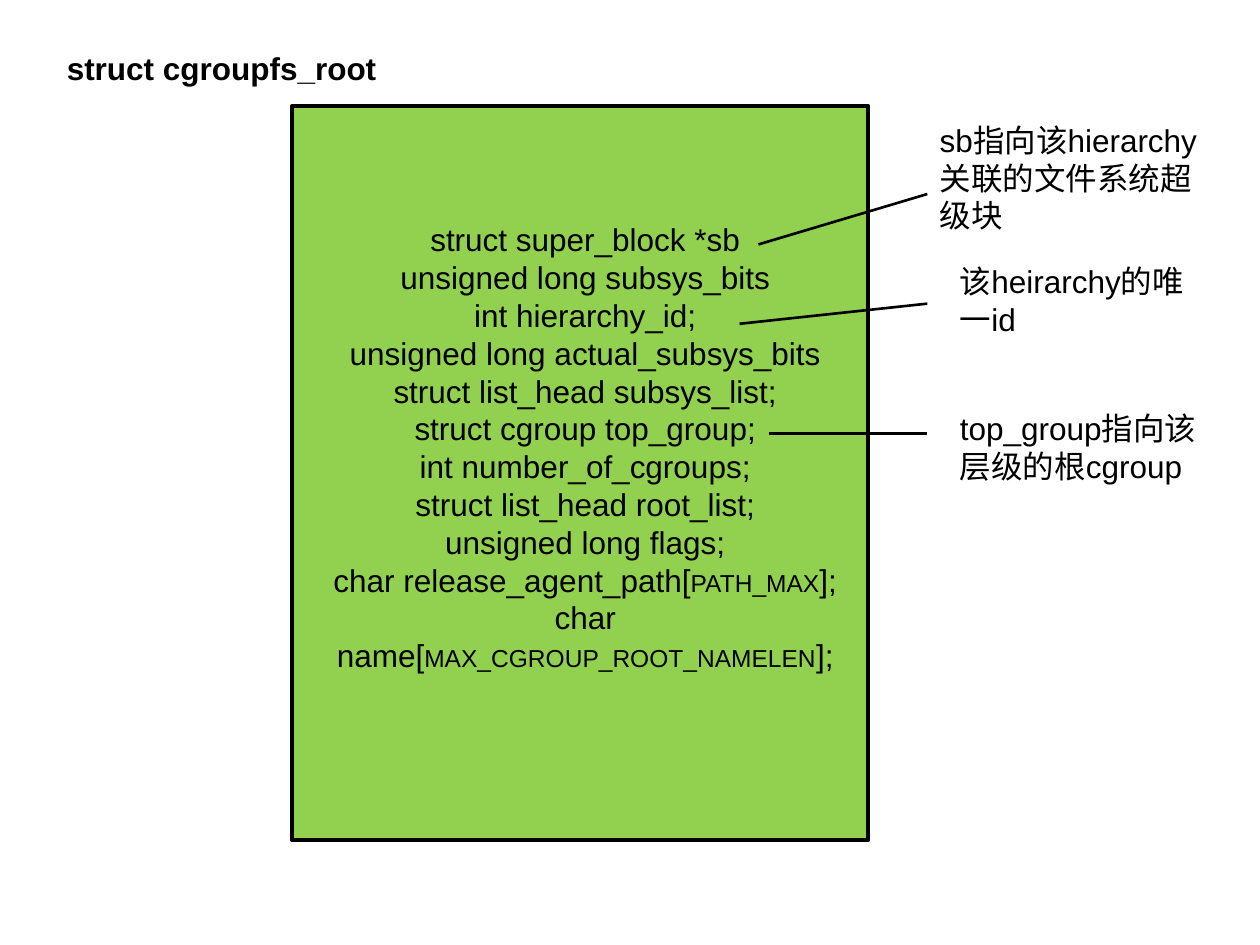
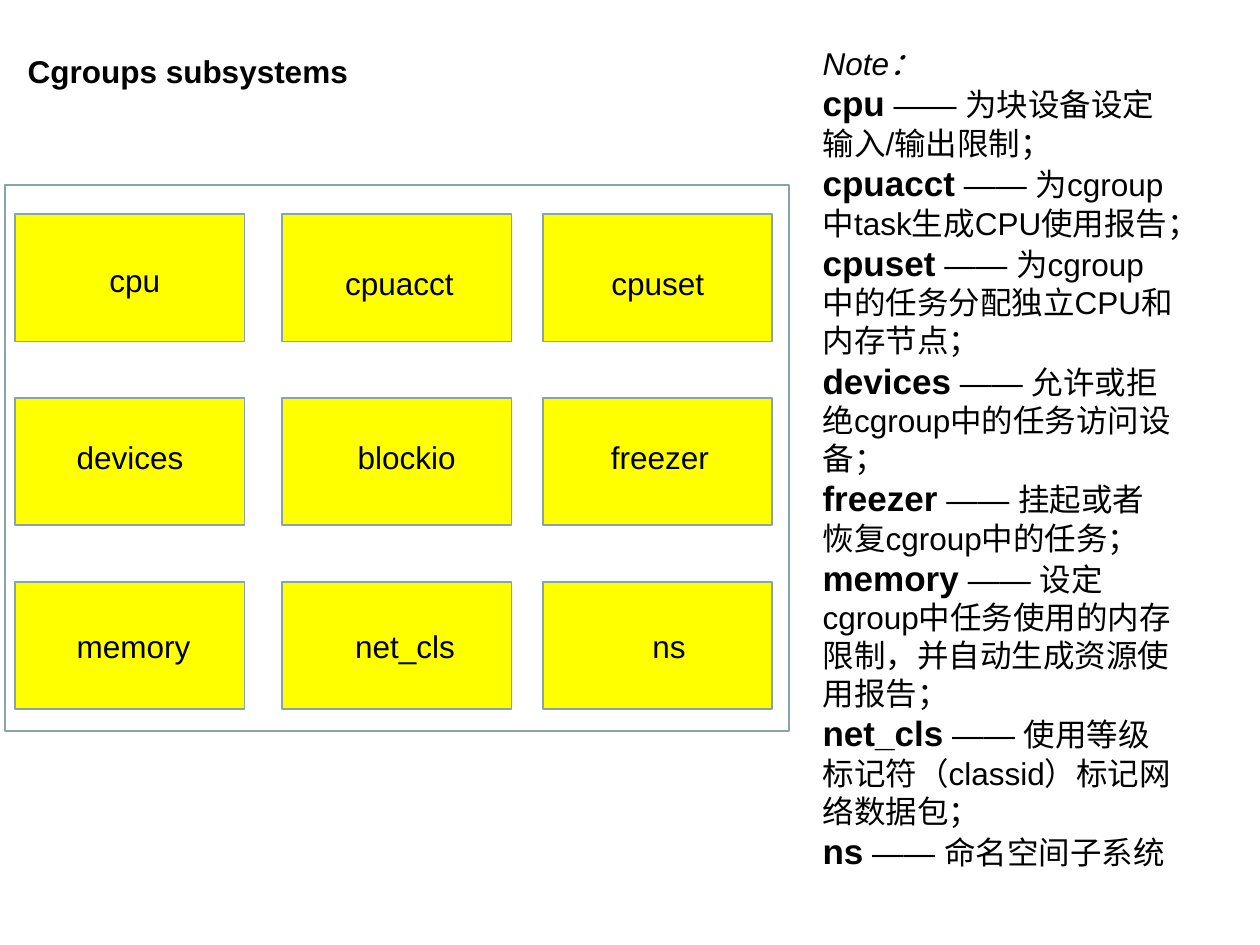
"""Build two slides on the cgroupfs_root structure and the cgroup subsystems."""
from lxml import etree
from pptx import Presentation
from pptx.dml.color import RGBColor
from pptx.enum.shapes import MSO_CONNECTOR, MSO_SHAPE
from pptx.enum.text import MSO_ANCHOR, MSO_AUTO_SIZE, PP_ALIGN
from pptx.oxml.ns import qn
from pptx.util import Pt

PX = 9144
FONT = "Arial"
COLORS = {
    "text": "000000",
    "struct": "92D050",
    "subsystem": "FFFF00",
    "border": "89A4A7",
}
RECTANGLE = MSO_SHAPE.RECTANGLE
STRAIGHT = MSO_CONNECTOR.STRAIGHT
LEFT, CENTER = PP_ALIGN.LEFT, PP_ALIGN.CENTER
TOP = MSO_ANCHOR.TOP
NO_FIT, GROW = MSO_AUTO_SIZE.NONE, MSO_AUTO_SIZE.SHAPE_TO_FIT_TEXT
TITLE_ONLY = 5

BODY = {"size": 18}
BOLD = {"size": 18, "bold": True}
ITALIC = {"size": 18, "italic": True}
TERM = {"size": 20, "bold": True}
MACRO = {"size": 14}

STRUCT_FIELDS = [
    "struct super_block *sb",
    "unsigned long subsys_bits",
    "int hierarchy_id;",
    "unsigned long actual_subsys_bits",
    "struct list_head subsys_list;",
    "struct cgroup top_group;",
    "int number_of_cgroups;",
    "struct list_head root_list;",
    "unsigned long flags;",
]
ARRAY_FIELDS = [
    ("char release_agent_path[", "PATH_MAX"),
    ("char name[", "MAX_CGROUP_ROOT_NAMELEN"),
]
FIELD_NOTES = [
    ("sb指向该hierarchy关联的文件系统超级块", (736, 91, 228, 100), (602, 194, 736, 154)),
    ("该heirarchy的唯一id", (752, 203, 213, 70), (587, 257, 736, 241)),
    ("top_group指向该层级的根cgroup", (752, 320, 213, 100), (610, 344, 736, 344)),
]

GRID_LEFTS = (12, 224, 431)
GRID_TOP, ROW_PITCH = 170, 146
CELL_WIDTH, CELL_HEIGHT = 182, 101
SUBSYSTEM_LABELS = [
    ("cpu", 35, 202, 144, CENTER),
    ("cpuacct", 245, 205, 144, CENTER),
    ("cpuset", 450, 205, 144, CENTER),
    ("devices", 51, 343, 112, LEFT),
    ("blockio", 274, 343, 112, LEFT),
    ("freezer", 475, 343, 112, LEFT),
    ("memory", 51, 493, 112, LEFT),
    ("net_cls", 272, 493, 112, LEFT),
    ("ns", 475, 493, 112, CENTER),
]
SUBSYSTEM_NOTES = [
    ("cpu", "为块设备设定输入/输出限制；"),
    ("cpuacct", "为cgroup中task生成CPU使用报告；"),
    ("cpuset", "为cgroup中的任务分配独立CPU和内存节点；"),
    ("devices", "允许或拒绝cgroup中的任务访问设备；"),
    ("freezer", "挂起或者恢复cgroup中的任务；"),
    ("memory", "设定cgroup中任务使用的内存限制，并自动生成资源使用报告；"),
    ("net_cls", "使用等级标记符（classid）标记网络数据包；"),
    ("ns", "命名空间子系统"),
]


def color(name):
    return RGBColor.from_string(COLORS[name])


def scaled(lengths):
    return [length * PX for length in lengths]


def write_paragraphs(text_frame, paragraphs, alignment):
    """Write paragraphs given as lists of (text, style) runs."""
    for index, runs in enumerate(paragraphs):
        paragraph = text_frame.add_paragraph() if index else text_frame.paragraphs[0]
        paragraph.alignment = alignment
        for text, style in runs:
            run = paragraph.add_run()
            run.text = text
            run.font.name = FONT
            run.font.size = Pt(style["size"])
            run.font.bold = style.get("bold", False)
            run.font.italic = style.get("italic", False)
            run.font.color.rgb = color("text")


def add_titled_slide(presentation, title, box):
    slide = presentation.slides.add_slide(presentation.slide_layouts[TITLE_ONLY])
    shape = slide.shapes.title
    shape.left, shape.top, shape.width, shape.height = scaled(box)
    text_frame = shape.text_frame
    text_frame.vertical_anchor = TOP
    text_frame.auto_size = NO_FIT
    write_paragraphs(text_frame, [[(title, BOLD)]], LEFT)
    return slide


def add_text(slide, box, paragraphs, alignment=LEFT):
    text_frame = slide.shapes.add_textbox(*scaled(box)).text_frame
    text_frame.word_wrap = True
    text_frame.auto_size = GROW
    write_paragraphs(text_frame, paragraphs, alignment)


def add_rectangle(slide, box, fill, line, line_width):
    shape = slide.shapes.add_shape(RECTANGLE, *scaled(box))
    shape.shadow.inherit = False
    if fill:
        shape.fill.solid()
        shape.fill.fore_color.rgb = color(fill)
    else:
        shape.fill.background()
    shape.line.color.rgb = color(line)
    shape.line.width = Pt(line_width)


def add_line(slide, ends):
    connector = slide.shapes.add_connector(STRAIGHT, *scaled(ends))
    connector.line.color.rgb = color("text")
    connector.line.width = Pt(1.5)
    etree.SubElement(connector._element.spPr, qn("a:effectLst"))


def build_struct_slide(presentation):
    slide = add_titled_slide(presentation, "struct cgroupfs_root", (43, 34, 410, 40))
    add_rectangle(slide, (232, 84, 457, 583), "struct", "text", 2.25)
    fields = [[(field, BODY)] for field in STRUCT_FIELDS]
    fields += [[(start, BODY), (macro, MACRO), ("];", BODY)] for start, macro in ARRAY_FIELDS]
    add_text(slide, (236, 170, 457, 370), fields, CENTER)
    for note, box, ends in FIELD_NOTES:
        add_line(slide, ends)
        add_text(slide, box, [[(note, BODY)]])


def build_subsystems_slide(presentation):
    slide = add_titled_slide(presentation, "Cgroups subsystems", (12, 36, 276, 40))
    add_rectangle(slide, (4, 147, 622, 433), None, "border", 1)
    for index, (name, left, top, width, alignment) in enumerate(SUBSYSTEM_LABELS):
        row, column = divmod(index, len(GRID_LEFTS))
        cell = (GRID_LEFTS[column], GRID_TOP + row * ROW_PITCH, CELL_WIDTH, CELL_HEIGHT)
        add_rectangle(slide, cell, "subsystem", "border", 1)
        add_text(slide, (left, top, width, 40), [[(name, BODY)]], alignment)
    notes = [[("Note：", ITALIC)]]
    notes += [[(name, TERM), (f" —— {note}", BODY)] for name, note in SUBSYSTEM_NOTES]
    add_text(slide, (643, 30, 299, 697), notes)


def main():
    presentation = Presentation()
    presentation.slide_width, presentation.slide_height = scaled((1000, 750))
    build_struct_slide(presentation)
    build_subsystems_slide(presentation)
    presentation.save("out.pptx")


if __name__ == "__main__":
    main()
